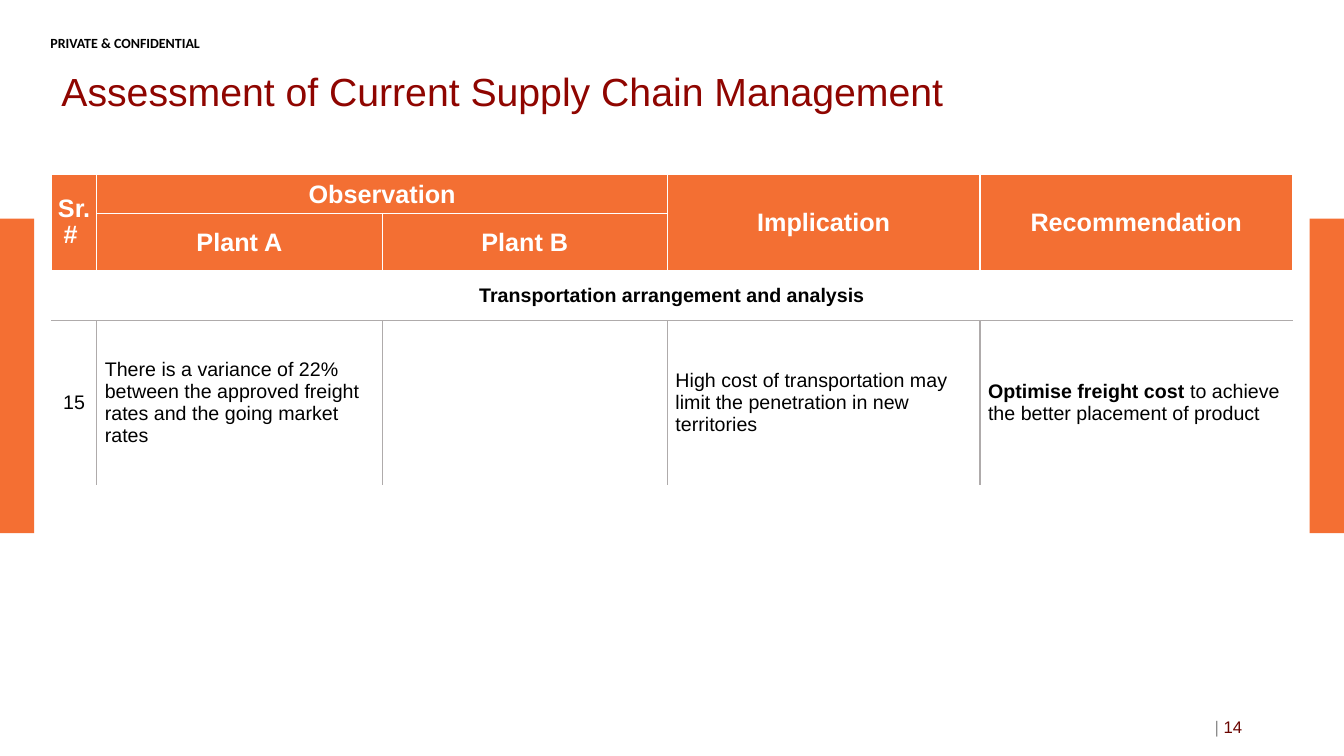
"""Build the supply chain assessment slide with its observation table."""
import pptx
import pptx.util
import pptx.dml.color
import pptx.enum.shapes
import pptx.enum.text
import pptx.oxml
import pptx.oxml.ns

Inches = pptx.util.Inches
ALIGN = pptx.enum.text.PP_ALIGN
MIDDLE = pptx.enum.text.MSO_ANCHOR.MIDDLE
COLORS = {"orange": "F46F33", "header": "F36F33", "title": "8F0500", "page": "6A0500",
          "bar": "8C8C8C", "rule": "AFABAB", "white": "FFFFFF", "black": "000000"}


def add_run(p, text, size, color, bold=False, font="Arial"):
    r = p.add_run()
    r.text = text
    r.font.name = font
    r.font.size = pptx.util.Pt(size)
    r.font.bold = bold
    r.font.color.rgb = pptx.dml.color.RGBColor.from_string(COLORS[color])


def set_borders(cell, sides):
    tcPr = cell._tc.get_or_add_tcPr()
    for i, side in enumerate("LRTB"):
        fill = "<a:noFill/>"
        if side in sides:
            fill = f'<a:solidFill><a:srgbClr val="{COLORS[sides[side]]}"/></a:solidFill>'
        tcPr.insert(i, pptx.oxml.parse_xml(
            f'<a:ln{side} {pptx.oxml.ns.nsdecls("a")} w="12700">{fill}</a:ln{side}>'))


prs = pptx.Presentation()
prs.slide_width, prs.slide_height = Inches(13.33), Inches(7.5)
s = prs.slides.add_slide(prs.slide_layouts[5])

for left in (0, 12.99):
    sp = s.shapes.add_shape(pptx.enum.shapes.MSO_SHAPE.RECTANGLE,
                            Inches(left), Inches(2.17), Inches(0.34), Inches(3.12))
    sp.shadow.inherit = False
    sp.fill.solid()
    sp.fill.fore_color.rgb = pptx.dml.color.RGBColor.from_string(COLORS["orange"])
    sp.line.fill.background()

tf = s.shapes.add_textbox(Inches(0.5), Inches(0.34), Inches(2.53), Inches(0.12)).text_frame
tf.word_wrap = True
tf.margin_left = tf.margin_right = tf.margin_top = tf.margin_bottom = 0
add_run(tf.paragraphs[0], "PRIVATE & CONFIDENTIAL", 10, "black", True, "Calibri")

sp = s.shapes.title
sp.left, sp.top, sp.width, sp.height = Inches(0.51), Inches(0.58), Inches(10.86), Inches(0.71)
tf = sp.text_frame
tf.auto_size = pptx.enum.text.MSO_AUTO_SIZE.NONE
tf.vertical_anchor = MIDDLE
p = tf.paragraphs[0]
p.alignment = ALIGN.LEFT
p.line_spacing = 0.9
add_run(p, "Assessment of Current Supply Chain Management", 28, "title")

col_widths = [0.45, 2.83, 2.83, 3.1, 3.1]
row_heights = [0.39, 0.39, 0.5, 1.63]
table = s.shapes.add_table(len(row_heights), len(col_widths), Inches(0.51), Inches(1.73),
                           Inches(sum(col_widths)), Inches(sum(row_heights))).table
table.first_row = table.horz_banding = False
for col, width in zip(table.columns, col_widths):
    col.width = Inches(width)
for row, height in zip(table.rows, row_heights):
    row.height = Inches(height)

texts = {
    (0, 0): ["Sr. # "], (0, 1): ["Observation"], (0, 3): ["Implication"],
    (0, 4): ["Recommendation"], (1, 1): ["Plant A"], (1, 2): ["Plant B"],
    (2, 0): ["Transportation arrangement and analysis"],
    (3, 0): ["15"],
    (3, 1): ["There is a variance of 22% between the approved freight rates "
             "and the going market rates"],
    (3, 3): ["High cost of transportation may limit the penetration in new territories"],
    (3, 4): ["Optimise freight cost ", "to achieve the better placement of product"],
}
last_col = len(col_widths) - 1
for r in range(len(row_heights)):
    for c in range(len(col_widths)):
        cell = table.cell(r, c)
        header = r < 2
        cell.vertical_anchor = MIDDLE
        cell.margin_left = cell.margin_right = cell.margin_top = Inches(0.01 if header else 0.08)
        cell.margin_bottom = Inches(0 if header else 0.08)
        if header:
            cell.fill.solid()
            cell.fill.fore_color.rgb = pptx.dml.color.RGBColor.from_string(COLORS["header"])
            sides = dict.fromkeys("LRTB", "white")
        elif r == 2:
            cell.fill.background()
            sides = {"T": "white", "B": "rule"}
        else:
            cell.fill.background()
            sides = {"T": "rule"}
        if r == 3 and c > 0:
            sides["L"] = "rule"
        if r == 3 and c < last_col:
            sides["R"] = "rule"
        set_borders(cell, sides)
        p = cell.text_frame.paragraphs[0]
        p.alignment = ALIGN.CENTER if r < 3 or c == 0 else ALIGN.LEFT
        parts = texts.get((r, c), [])
        for i, text in enumerate(parts):
            bold = r < 3 or (len(parts) > 1 and i == 0)
            add_run(p, text, 18 if header else 14, "white" if header else "black", bold)
table.cell(0, 0).text_frame.paragraphs[0].line_spacing = 0.92

for first, last in [((0, 0), (1, 0)), ((0, 1), (0, 2)), ((0, 3), (1, 3)),
                    ((0, 4), (1, 4)), ((2, 0), (2, last_col))]:
    table.cell(*first).merge(table.cell(*last))

tf = s.shapes.add_textbox(Inches(9.42), Inches(7.01), Inches(3), Inches(0.4)).text_frame
tf.word_wrap = True
tf.vertical_anchor = MIDDLE
p = tf.paragraphs[0]
p.alignment = ALIGN.RIGHT
add_run(p, "| ", 12, "bar")
add_run(p, "14", 12, "page")

prs.save("out.pptx")
